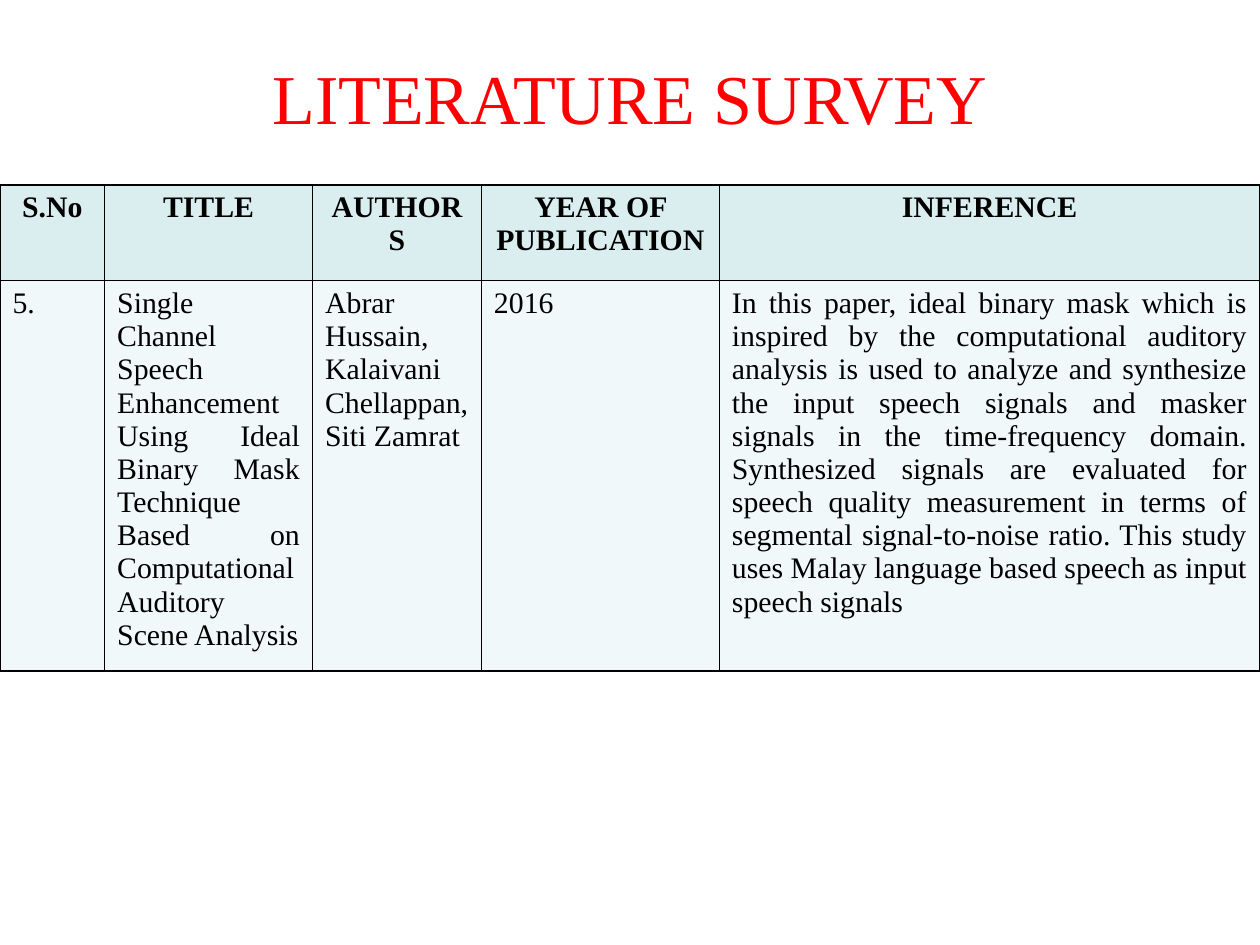
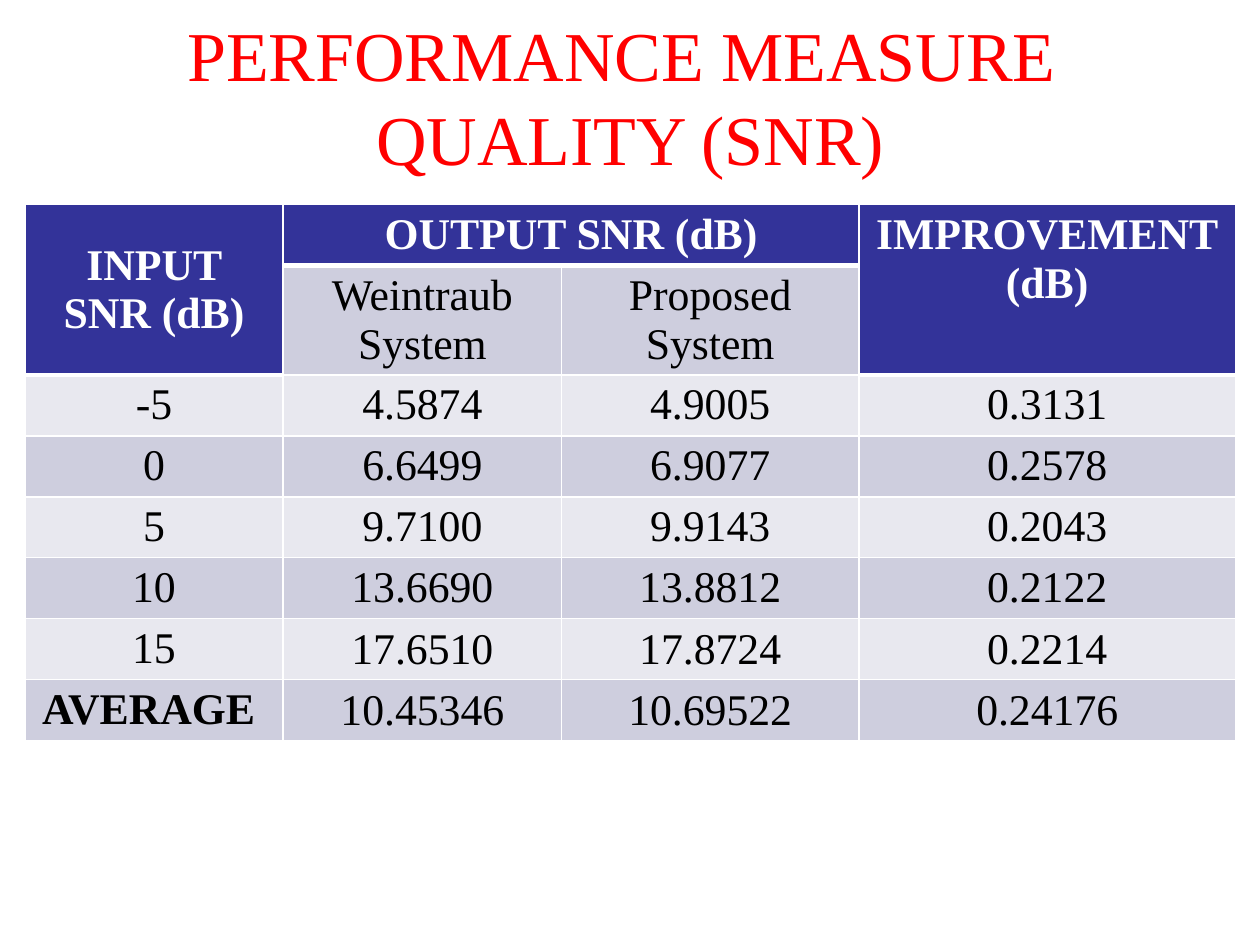
from dataclasses import dataclass

from lxml import etree
from pptx import Presentation
from pptx.dml.color import RGBColor
from pptx.enum import text
from pptx.oxml.ns import qn
from pptx.util import Pt

CENTER, JUSTIFY = text.PP_ALIGN.CENTER, text.PP_ALIGN.JUSTIFY


@dataclass(frozen=True)
class Theme:
    font: str = "Times New Roman"
    title: str = "FF0000"
    ink: str = "000000"
    paper: str = "FFFFFF"
    survey_head: str = "DAEDEF"
    survey_body: str = "F1F8F9"
    snr_head: str = "333399"
    snr_dark: str = "CECEDE"
    snr_light: str = "E8E8EF"
    title_size: int = 40
    survey_size: int = 17
    snr_size: int = 25


T = Theme()

SURVEY = [
    ["S.No", "TITLE", "AUTHORS", "YEAR OF PUBLICATION ", "INFERENCE"],
    ["5.",
     "Single Channel Speech Enhancement Using Ideal Binary Mask Technique "
     "Based on Computational Auditory Scene Analysis",
     "Abrar Hussain, Kalaivani Chellappan, Siti Zamrat",
     "2016",
     "In this paper, ideal binary mask which is inspired by the computational "
     "auditory analysis is used to analyze and synthesize the input speech "
     "signals and masker signals in the time-frequency domain. Synthesized "
     "signals are evaluated for speech quality measurement in terms of "
     "segmental signal-to-noise ratio. This study uses Malay language based "
     "speech as input speech signals"],
]

SNR = [
    ["INPUT SNR (dB)", "OUTPUT SNR (dB)", "", "IMPROVEMENT\n(dB)"],
    ["", "Weintraub System", "Proposed System", ""],
    ["-5", "4.5874", "4.9005", "0.3131"],
    ["0", "6.6499", "6.9077", "0.2578"],
    ["5", "9.7100", "9.9143", "0.2043"],
    ["10", "13.6690", "13.8812", "0.2122"],
    ["15", "17.6510", "17.8724", "0.2214"],
    ["AVERAGE ", "10.45346", "10.69522", "0.24176"],
]


def write(tf, content, size, color, bold=False, align=CENTER, spacing=None):
    """Fill a text frame with one paragraph; newlines become line breaks."""
    p = tf.paragraphs[0]
    p.alignment = align
    if spacing:
        p.line_spacing = spacing
    for i, line in enumerate(content.split("\n")):
        if i:
            p.add_line_break()
        r = p.add_run()
        r.text = line
        r.font.name, r.font.size, r.font.bold = T.font, Pt(size), bold
        r.font.color.rgb = RGBColor.from_string(color)


def paint(cell, fill, line, top=1, bottom=1):
    """Set a cell's borders, then its fill."""
    tc_pr = cell._tc.get_or_add_tcPr()
    for side, width in (("L", 1), ("R", 1), ("T", top), ("B", bottom)):
        ln = etree.SubElement(tc_pr, qn(f"a:ln{side}"), w=str(Pt(width)))
        solid = etree.SubElement(ln, qn("a:solidFill"))
        etree.SubElement(solid, qn("a:srgbClr"), val=line)
    cell.fill.solid()
    cell.fill.fore_color.rgb = RGBColor.from_string(fill)


def add_titled_slide(prs, title, box):
    s = prs.slides.add_slide(prs.slide_layouts.get_by_name("Title Only"))
    sp = s.shapes.title
    sp.left, sp.top, sp.width, sp.height = map(Pt, box)
    tf = sp.text_frame
    tf.word_wrap = True
    tf.auto_size = text.MSO_AUTO_SIZE.NONE
    tf.vertical_anchor = text.MSO_ANCHOR.MIDDLE
    write(tf, title, T.title_size, T.title)
    return s


def add_grid(s, box, widths, heights):
    """Add an unstyled table; box is left, top, width, height."""
    frame = s.shapes.add_table(len(heights), len(widths), *map(Pt, box))
    table = frame.table
    table.first_row = table.horz_banding = False
    for column, width in zip(table.columns, widths):
        column.width = Pt(width)
    for row, height in zip(table.rows, heights):
        row.height = Pt(height)
    frame.height = Pt(box[3])
    return table


def survey_table(s, box):
    table = add_grid(s, box, [59.8, 118.8, 96.5, 136, 308.9], [54.7, 223.2])
    for i, row in enumerate(SURVEY):
        head = i == 0
        for j, content in enumerate(row):
            cell = table.cell(i, j)
            paint(cell, T.survey_head if head else T.survey_body, T.ink)
            write(cell.text_frame, content, T.survey_size, T.ink, bold=head,
                  align=CENTER if head else JUSTIFY)


def snr_table(s, box):
    table = add_grid(s, box, [147.6, 159.1, 169.9, 215.3], [29.5] * len(SNR))

    def is_head(i, j):
        return i == 0 or (i == 1 and j in (0, 3))

    for i, row in enumerate(SNR):
        band = T.snr_dark if i % 2 else T.snr_light
        for j, content in enumerate(row):
            cell, head = table.cell(i, j), is_head(i, j)
            paint(cell, T.snr_head if head else band, T.paper,
                  top=3 if i and is_head(i - 1, j) and not head else 1,
                  bottom=3 if head and not is_head(i + 1, j) else 1)
            if not content:
                continue
            loose = i >= 6 and j > 0
            if loose:
                cell.margin_left = cell.margin_right = Pt(5)
                cell.margin_top = cell.margin_bottom = 0
            write(cell.text_frame, content, T.snr_size,
                  T.paper if head else T.ink,
                  bold=head or content.startswith("AVERAGE"),
                  spacing=1.15 if loose else None)
    table.cell(0, 0).vertical_anchor = text.MSO_ANCHOR.MIDDLE
    for first, last in (((0, 0), (1, 0)), ((0, 1), (0, 2)), ((0, 3), (1, 3))):
        table.cell(*first).merge(table.cell(*last))


def main():
    prs = Presentation()
    prs.slide_width, prs.slide_height = Pt(720), Pt(540)
    s = add_titled_slide(prs, "LITERATURE SURVEY", (36, 10, 648, 90))
    survey_table(s, (0, 105.6, 720, 277.9))
    s = add_titled_slide(prs, "PERFORMANCE MEASURE \nQUALITY (SNR)",
                         (14.2, 9.5, 691.9, 90))
    snr_table(s, (14.2, 116.9, 691.9, 327.6))
    prs.save("out.pptx")


if __name__ == "__main__":
    main()
